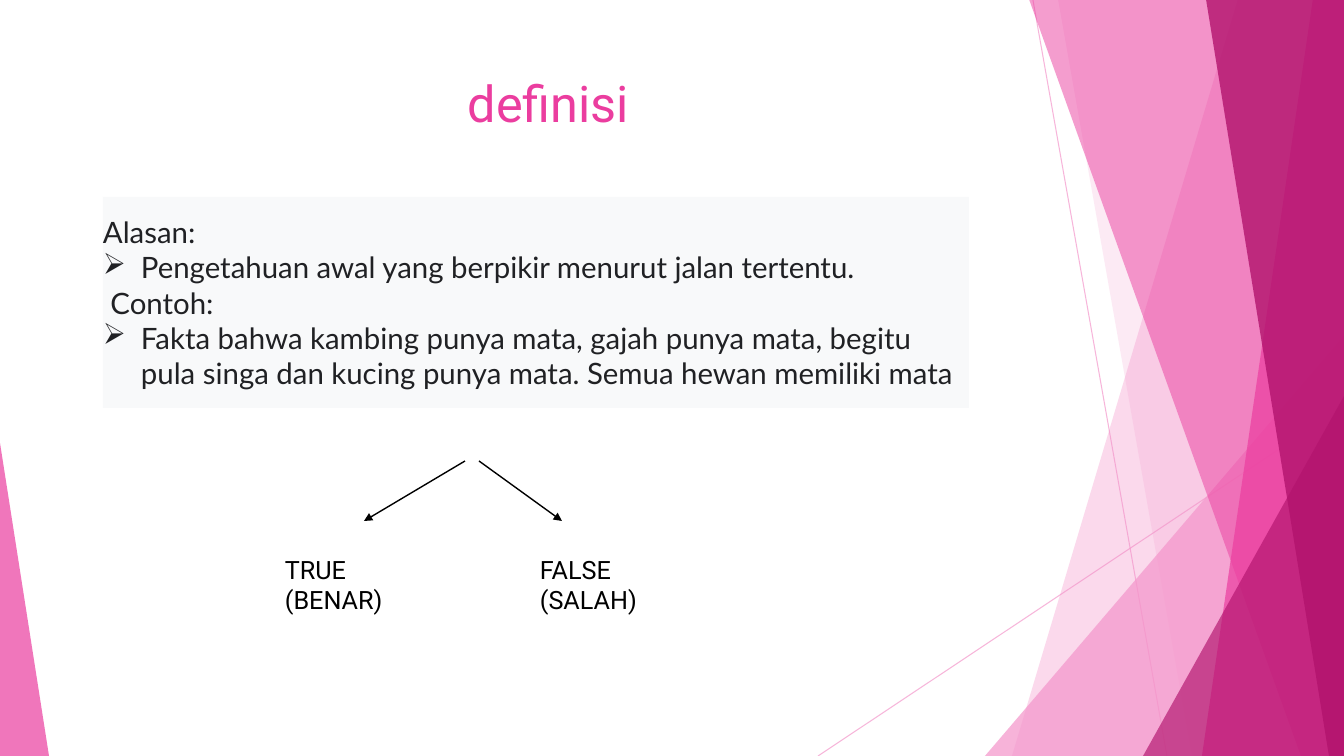
from lxml import etree
from pptx import Presentation
from pptx import util as u
from pptx.dml.color import RGBColor
from pptx.enum import shapes, text
from pptx.oxml.ns import qn

WIDTH, HEIGHT = 1344, 756
PINK, ROSE, MAGENTA, BLACK = "F496CB", "EB3D9F", "B2136D", "000000"


def px(count):
    return u.Emu(round(count * 914400 / 100.8))


def paint(fill, color, shape=None, opacity=100):
    """Make a fill solid; opacity in percent applies to the given shape."""
    fill.solid()
    fill.fore_color.rgb = RGBColor.from_string(color)
    if opacity < 100:
        for node in shape._element.iter(qn("a:srgbClr")):
            etree.SubElement(node, qn("a:alpha"), val=str(opacity * 1000))


presentation = Presentation()
presentation.slide_width, presentation.slide_height = px(WIDTH), px(HEIGHT)
slide = presentation.slides.add_slide(presentation.slide_layouts[5])

# Thin background lines and the two arrows
lines = [
    (1033, 0, 1167, 756, PINK, 0.75, 70, False),
    (1344, 406, 818, 756, PINK, 0.75, 70, False),
    (465, 461, 364, 521, BLACK, 1, 100, True),
    (479, 461, 562, 521, BLACK, 1, 100, True),
]
for x1, y1, x2, y2, color, width, opacity, has_arrow in lines:
    line = slide.shapes.add_connector(
        shapes.MSO_CONNECTOR.STRAIGHT, px(x1), px(y1), px(x2), px(y2))
    line.line.width = u.Pt(width)
    paint(line.line.fill, color, line, opacity)
    if has_arrow:
        etree.SubElement(line.line._get_or_add_ln(), qn("a:tailEnd"), type="triangle")
    etree.SubElement(line._element.spPr, qn("a:effectLst"))

# Facets: bands reach the right edge (top x, bottom x),
# triangles stand on the bottom edge (left, top, width, apex)
facets = [
    ((1238, 1012), PINK, 36),
    ((1058, 1192), PINK, 20),
    ((985, 336, 359, 1), PINK, 72),
    ((1029, 1301), ROSE, 50),
    ((1313, 1202), ROSE, 70),
    ((1206, 1329), MAGENTA, 80),
    ((1143, 396, 201, 1), MAGENTA, 66),
    ((0, 443, 49, 0), ROSE, 70),
]
for geometry, color, opacity in facets:
    if len(geometry) == 2:
        top_x, bottom_x = geometry
        builder = slide.shapes.build_freeform(px(top_x), px(-1))
        corners = [(WIDTH, -1), (WIDTH, HEIGHT), (bottom_x, HEIGHT)]
        builder.add_line_segments([(px(x), px(y)) for x, y in corners])
        facet = builder.convert_to_shape()
    else:
        left, top, width, apex = geometry
        facet = slide.shapes.add_shape(
            shapes.MSO_SHAPE.ISOSCELES_TRIANGLE,
            px(left), px(top), px(width), px(HEIGHT - top))
        facet.adjustments[0] = apex
    facet.shadow.inherit = False
    facet.line.fill.background()
    paint(facet.fill, color, facet, opacity)

title = slide.shapes.title
title_place = {"left": 75, "top": 67, "width": 947, "height": 145}
for name, value in title_place.items():
    setattr(title, name, px(value))

panel = slide.shapes.add_shape(
    shapes.MSO_SHAPE.RECTANGLE, px(103), px(197), px(866), px(211))
panel.shadow.inherit = False
panel.line.fill.background()
paint(panel.fill, "F8F9FA")

true_label = slide.shapes.add_textbox(px(275), px(549), px(150), px(72))
false_label = slide.shapes.add_textbox(px(530), px(549), px(129), px(72))

panel_lines = [
    "Alasan:",
    "Pengetahuan awal yang berpikir menurut jalan tertentu.",
    " Contoh:",
    "Fakta bahwa kambing punya mata, gajah punya mata, begitu pula singa dan "
    "kucing punya mata. Semua hewan memiliki mata",
]
top_anchor = {"word_wrap": True, "vertical_anchor": text.MSO_ANCHOR.TOP}
panel_frame = {
    "word_wrap": True, "vertical_anchor": text.MSO_ANCHOR.MIDDLE,
    "margin_left": 0, "margin_right": 0, "margin_top": 0, "margin_bottom": 0,
}
label_font = {"name": "Roboto", "size": u.Pt(18)}
left, center = text.PP_ALIGN.LEFT, text.PP_ALIGN.CENTER
texts = [
    (title, ["definisi"], top_anchor, {"name": "Roboto", "size": u.Pt(36)}, ROSE, center),
    (panel, panel_lines, panel_frame, {"name": "Lato", "size": u.Pt(21)}, "202124", left),
    (true_label, ["TRUE (BENAR)"], top_anchor, label_font, BLACK, left),
    (false_label, ["FALSE", "(SALAH)"], top_anchor, label_font, BLACK, left),
]
for shape, wording, frame_format, font_format, color, alignment in texts:
    frame = shape.text_frame
    frame.text = "\n".join(wording)
    for name, value in frame_format.items():
        setattr(frame, name, value)
    for paragraph in frame.paragraphs:
        paragraph.alignment = alignment
        font = paragraph.runs[0].font
        for name, value in font_format.items():
            setattr(font, name, value)
        paint(font.fill, color)

for paragraph in panel.text_frame.paragraphs[1::2]:
    properties = paragraph._p.get_or_add_pPr()
    properties.set("marL", str(px(38)))
    properties.set("indent", str(px(-38)))
    etree.SubElement(properties, qn("a:buChar"), char="➢")

presentation.save("out.pptx")
